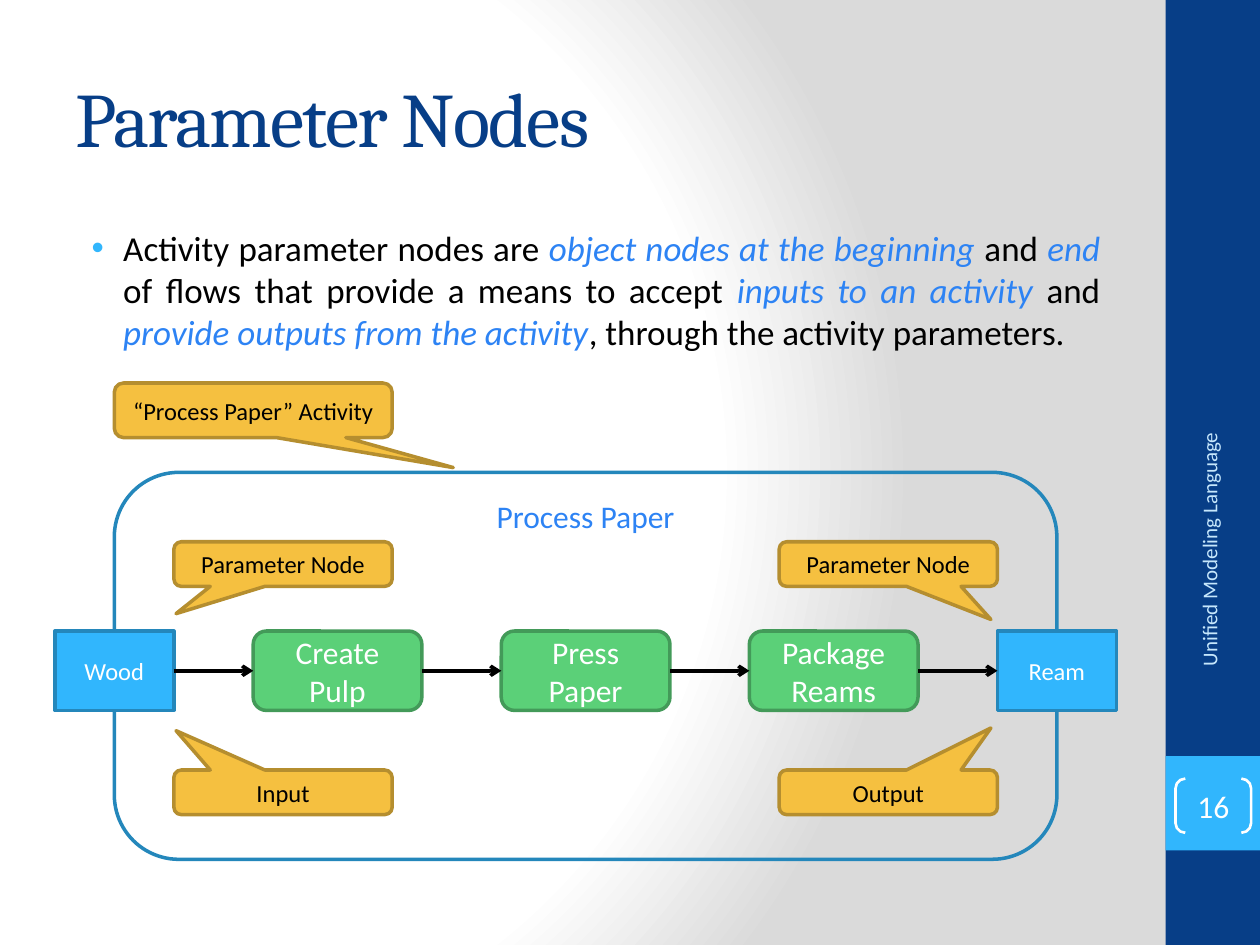
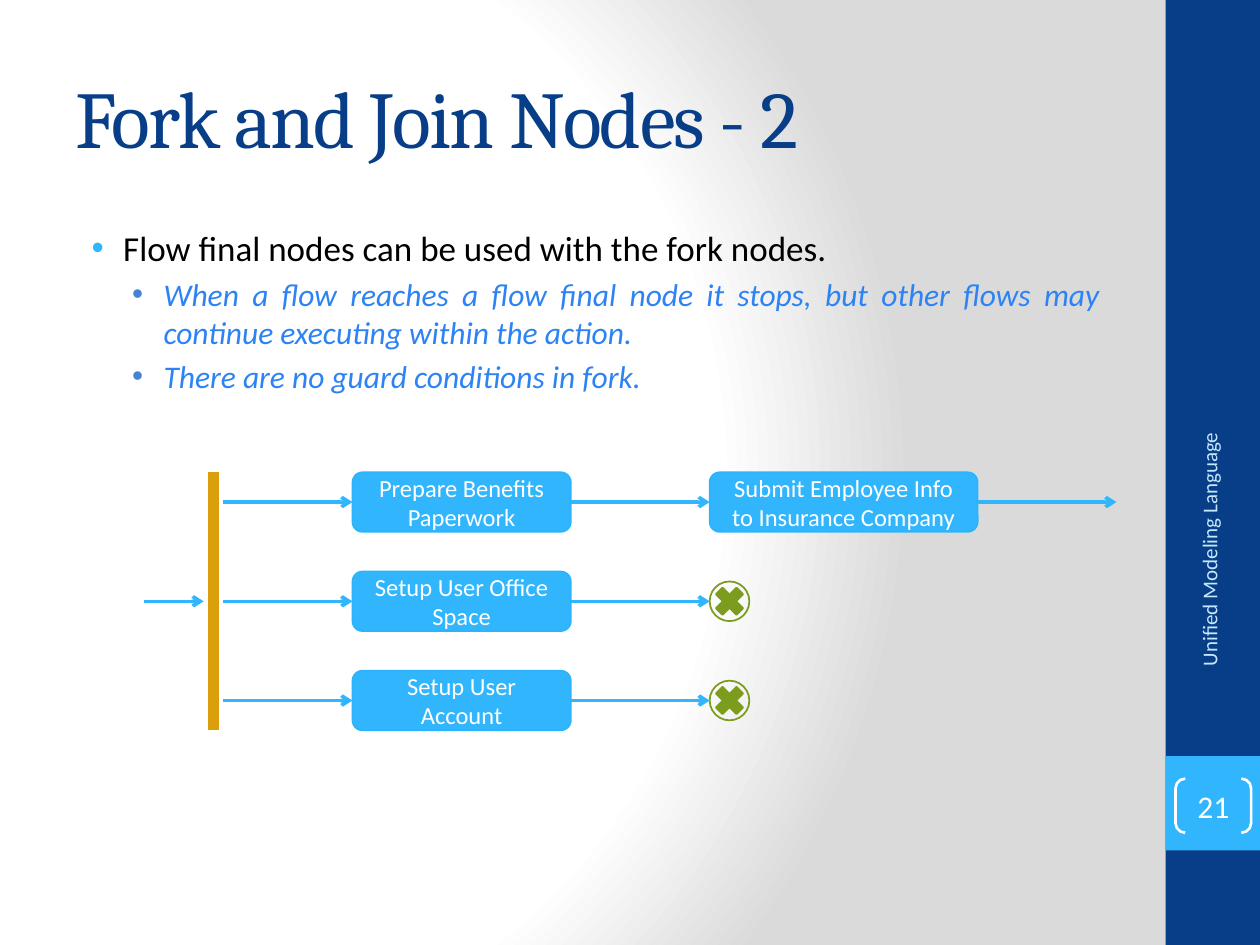
from dataclasses import dataclass
from typing import NamedTuple, Optional

from pptx import Presentation
from pptx.dml.color import RGBColor
from pptx.enum.shapes import MSO_CONNECTOR, MSO_SHAPE as SHAPE
from pptx.enum.text import MSO_ANCHOR as ANCHOR, PP_ALIGN as ALIGN
from pptx.oxml import parse_xml
from pptx.oxml.ns import nsdecls, qn
from pptx.util import Inches, Pt

COLORS = {
    "navy": "073E87", "sky": "31B6FD", "sky_edge": "2BB4FC", "steel": "2487BB",
    "accent": "2D83F4", "sub_bullet": "4584D3", "pale": "C6E7FC",
    "green": "5BD078", "green_edge": "439A59", "amber": "F5C040",
    "amber_edge": "B58E2F", "bar": "DC9F0C", "olive": "7C9C1E",
    "white": "FFFFFF", "grey": "DADADA", "black": "000000",
}
BODY_FONT, TITLE_FONT = "Calibri", "Cambria"
LEFT_SIDE, RIGHT_SIDE = 1, 3


@dataclass(frozen=True)
class Grid:
    left: float
    top: float
    unit: float

    def point(self, col: float, row: float) -> tuple:
        return Inches(self.left + col * self.unit), Inches(self.top + row * self.unit)

    def box(self, col: float, row: float, cols: float, rows: float) -> tuple:
        return *self.point(col, row), Inches(cols * self.unit), Inches(rows * self.unit)


PAGE = Grid(0, 0, 0.25)
FLOW = Grid(0.435, 3.04, 0.1575)


@dataclass(frozen=True)
class Style:
    shape: int
    fill: Optional[str] = None
    edge: Optional[str] = None
    width: float = 2
    size: float = 14
    color: str = "white"
    anchor: int = ANCHOR.MIDDLE


BAND = Style(SHAPE.RECTANGLE, "navy")
BADGE = Style(SHAPE.RECTANGLE, "sky")
BRACKETS = Style(SHAPE.DOUBLE_BRACKET, None, "white", 1.5, 18)
FRAME = Style(SHAPE.ROUNDED_RECTANGLE, None, "steel", size=18, color="accent", anchor=ANCHOR.TOP)
PARAMETER = Style(SHAPE.RECTANGLE, "sky", "steel")
ACTION = Style(SHAPE.ROUNDED_RECTANGLE, "green", "green_edge", size=18)
CALLOUT = Style(SHAPE.ROUNDED_RECTANGULAR_CALLOUT, "amber", "amber_edge", color="black")
TASK = Style(SHAPE.ROUNDED_RECTANGLE, "sky", "sky_edge", 1)
FINAL_RING = Style(SHAPE.OVAL, None, "olive", 1)
FINAL_CROSS = Style(SHAPE.MATH_MULTIPLY, "olive", "olive", 1)


class Node(NamedTuple):
    text: str
    col: float
    cols: float
    style: Style


class Callout(NamedTuple):
    text: str
    box: tuple
    tip: tuple


class Bullet(NamedTuple):
    level: int
    runs: tuple


class Branch(NamedTuple):
    row: float
    task: str


def rgb(name: str) -> RGBColor:
    return RGBColor.from_string(COLORS[name])


def write(p, text: str, *, size: float, color: str, font: str = BODY_FONT,
          align=None, italic: bool = False, spacing: int = 0) -> None:
    r = p.add_run()
    r.text = text
    r.font.size, r.font.name, r.font.italic = Pt(size), font, italic
    r.font.color.rgb = rgb(color)
    if align is not None:
        p.alignment = align
    if spacing:
        r.font._element.set("spc", str(spacing * 100))


def add_box(slide, box: tuple, anchor=ANCHOR.TOP):
    sp = slide.shapes.add_textbox(*box)
    sp.text_frame.word_wrap = True
    sp.text_frame.vertical_anchor = anchor
    return sp


def add_shape(slide, style: Style, box: tuple, text: str = "", adjust: tuple = ()):
    sp = slide.shapes.add_shape(style.shape, *box)
    sp.shadow.inherit = False
    for i, value in enumerate(adjust):
        sp.adjustments[i] = value
    if style.fill:
        sp.fill.solid()
        sp.fill.fore_color.rgb = rgb(style.fill)
    else:
        sp.fill.background()
    if style.edge:
        sp.line.color.rgb = rgb(style.edge)
        sp.line.width = Pt(style.width)
    else:
        sp.line.fill.background()
    if text:
        tf = sp.text_frame
        tf.word_wrap = True
        tf.vertical_anchor = style.anchor
        write(tf.paragraphs[0], text, size=style.size, color=style.color, align=ALIGN.CENTER)
    return sp


def add_line(slide, start: tuple, end: tuple, color: str, width: float = 2,
             arrow: bool = True, source=None, target=None) -> None:
    cx = slide.shapes.add_connector(MSO_CONNECTOR.STRAIGHT, *FLOW.point(*start), *FLOW.point(*end))
    if source is not None:
        cx.begin_connect(source, RIGHT_SIDE)
    if target is not None:
        cx.end_connect(target, LEFT_SIDE)
    cx.line.color.rgb = rgb(color)
    cx.line.width = Pt(width)
    if arrow:
        cx.line._get_or_add_ln().append(parse_xml(f'<a:tailEnd {nsdecls("a")} type="arrow"/>'))
    cx._element.spPr.append(parse_xml(f'<a:effectLst {nsdecls("a")}/>'))


def add_background(slide) -> None:
    stops = "".join(
        f'<a:gs pos="{share * 1000}"><a:srgbClr val="{COLORS[name]}"/></a:gs>'
        for share, name in ((0, "white"), (75, "white"), (100, "grey")))
    slide.element.find(qn("p:cSld")).insert(0, parse_xml(
        f'<p:bg {nsdecls("p", "a")}><p:bgPr><a:gradFill rotWithShape="1"><a:gsLst>{stops}</a:gsLst>'
        '<a:path path="circle"><a:fillToRect l="20000" t="50000" r="100000" b="50000"/></a:path>'
        '</a:gradFill><a:effectLst/></p:bgPr></p:bg>'))


def add_bullets(slide, bullets: tuple) -> None:
    tf = add_box(slide, PAGE.box(2, 7, 33.32, 21)).text_frame
    for i, bullet in enumerate(bullets):
        p = tf.add_paragraph() if i else tf.paragraphs[0]
        size = (20, 18)[bullet.level]
        p.alignment = ALIGN.JUSTIFY
        p.level = bullet.level
        p.space_before = Pt(size * 0.2)
        pPr = p._p.get_or_add_pPr()
        pPr.set("marL", str(Inches((0.38, 0.7)[bullet.level])))
        pPr.set("indent", str(Inches(-0.25)))
        mark = COLORS[("sky", "sub_bullet")[bullet.level]]
        for xml in (f'<a:buClr {nsdecls("a")}><a:srgbClr val="{mark}"/></a:buClr>',
                    f'<a:buFont {nsdecls("a")} typeface="Arial"/>',
                    f'<a:buChar {nsdecls("a")} char="•"/>'):
            pPr.append(parse_xml(xml))
        for text, stressed in bullet.runs:
            write(p, text, size=size, color="accent" if stressed else "black", italic=stressed)


def add_slide(prs, title: str, title_size: float, number: int, bullets: tuple):
    slide = prs.slides.add_slide(prs.slide_layouts[6])
    add_background(slide)
    add_shape(slide, BAND, PAGE.box(37, 0, 3, 30))
    add_shape(slide, BADGE, PAGE.box(37, 24, 3, 3))
    sp = add_box(slide, PAGE.box(2, 1.2, 33.32, 5), ANCHOR.MIDDLE)
    write(sp.text_frame.paragraphs[0], title, size=title_size, color="navy",
          font=TITLE_FONT, spacing=-1)
    add_bullets(slide, bullets)
    sp = add_box(slide, PAGE.box(33.2, 17.72, 10.36, 1.6), ANCHOR.MIDDLE)
    sp.rotation = 270
    write(sp.text_frame.paragraphs[0], "Unified Modeling Language", size=12,
          color="pale", align=ALIGN.RIGHT)
    sp = add_shape(slide, BRACKETS, PAGE.box(37.32, 24.72, 2.4, 1.72), str(number), (0.18,))
    tf = sp.text_frame
    tf.margin_left = tf.margin_right = tf.margin_top = tf.margin_bottom = 0
    return slide


def build_parameter_nodes(prs) -> None:
    slide = add_slide(prs, "Parameter Nodes", 44, 16, (Bullet(0, (
        ("Activity parameter nodes are ", False),
        ("object nodes at the beginning ", True),
        ("and ", False),
        ("end ", True),
        ("of flows that provide a means to accept ", False),
        ("inputs to an activity ", True),
        ("and ", False),
        ("provide outputs from the activity", True),
        (", through the activity parameters.", False))),))
    add_shape(slide, FRAME, FLOW.box(3, 4.5, 47.5, 19.5), "Process Paper")
    actions = [Node(text, 10 + 12.5 * i, 8.5, ACTION)
               for i, text in enumerate(("Create Pulp", "Press Paper", "Package Reams"))]
    nodes = [Node("Wood", 0, 6, PARAMETER), *actions, Node("Ream", 47.5, 6, PARAMETER)]
    boxes = [add_shape(slide, n.style, FLOW.box(n.col, 12.5, n.cols, 4), n.text) for n in nodes]
    for i, (n, following) in enumerate(zip(nodes, nodes[1:])):
        add_line(slide, (n.col + n.cols, 14.5), (following.col, 14.5), "black",
                 source=boxes[i], target=boxes[i + 1])
    for c in (
        Callout("Parameter Node", (36.5, 8, 11, 2.25), (0.47, 1.24)),
        Callout("“Process Paper” Activity", (3, 0, 14, 2.75), (0.72, 1.05)),
        Callout("Output", (36.5, 19.5, 11, 2.25), (0.47, -1.44)),
        Callout("Parameter Node", (6, 8, 11, 2.25), (-0.49, 1.11)),
        Callout("Input", (6, 19.5, 11, 2.25), (-0.49, -1.38)),
    ):
        add_shape(slide, CALLOUT, FLOW.box(*c.box), c.text, c.tip)


def build_fork_nodes(prs) -> None:
    slide = add_slide(prs, "Fork and Join Nodes - 2", 46, 21, (
        Bullet(0, (("Flow final nodes can be used with the fork nodes.", False),)),
        Bullet(1, (("When a flow reaches a flow final node it stops, but other flows may "
                    "continue executing within the action.", True),)),
        Bullet(1, (("There are no guard conditions in fork.", True),))))
    add_line(slide, (8, 4.5), (8, 17.5), "bar", 6, arrow=False)
    add_line(slide, (4.5, 11), (7.5, 11), "sky")
    tasks = ("Prepare Benefits Paperwork", "Setup User Office Space", "Setup User Account")
    for i, branch in enumerate(Branch(4.5 + 5 * i, task) for i, task in enumerate(tasks)):
        middle = branch.row + 1.5
        task = add_shape(slide, TASK, FLOW.box(15, branch.row, 11, 3), branch.task)
        add_line(slide, (8.5, middle), (15, middle), "sky", target=task)
        submit = None
        if i == 0:
            submit = add_shape(slide, TASK, FLOW.box(33, branch.row, 13.5, 3),
                               "Submit Employee Info to Insurance Company")
            add_line(slide, (46.5, middle), (53.5, middle), "sky", source=submit)
        else:
            for style in (FINAL_RING, FINAL_CROSS):
                add_shape(slide, style, FLOW.box(33, middle - 1, 2, 2))
        add_line(slide, (26, middle), (33, middle), "sky", source=task, target=submit)


def main() -> None:
    prs = Presentation()
    prs.slide_width, prs.slide_height = Inches(10), Inches(7.5)
    build_parameter_nodes(prs)
    build_fork_nodes(prs)
    prs.save("out.pptx")


if __name__ == "__main__":
    main()
